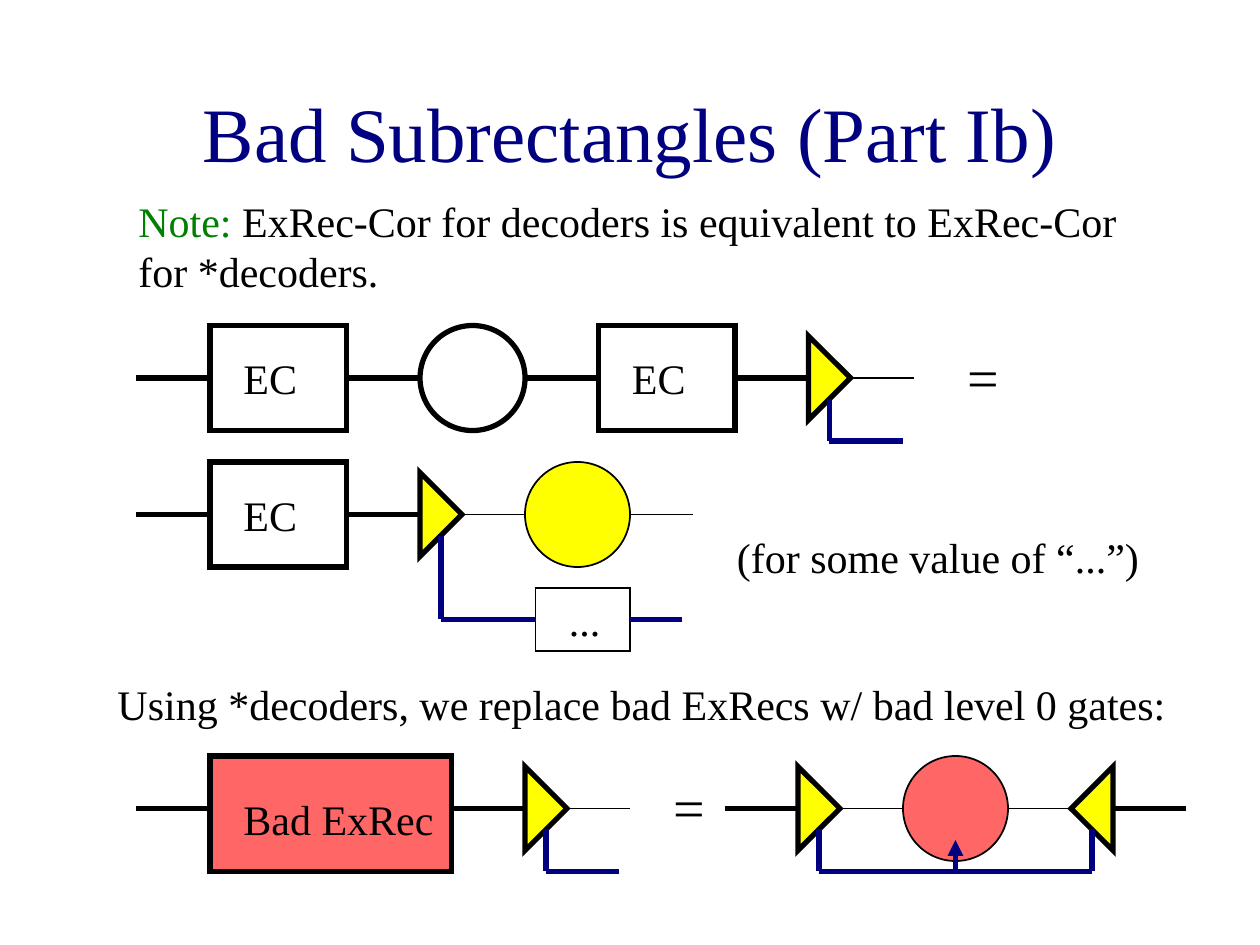
from dataclasses import dataclass
from typing import Optional

from lxml.etree import SubElement
from pptx import Presentation
from pptx.dml.color import RGBColor
from pptx.enum.shapes import MSO_CONNECTOR as Connector, MSO_SHAPE as Preset
from pptx.enum.text import MSO_ANCHOR as Anchor, PP_ALIGN as Align
from pptx.oxml.ns import qn
from pptx.util import Pt

EMU_PER_PX = 7620  # 120 px to the inch
BLACK = RGBColor(0x00, 0x00, 0x00)
NAVY = RGBColor(0x00, 0x00, 0x80)
GREEN = RGBColor(0x00, 0x80, 0x00)
YELLOW = RGBColor(0xFF, 0xFF, 0x00)
RED = RGBColor(0xFF, 0x66, 0x66)

# Centre lines of the three circuits, and levels of the syndrome wires
ROW_1, ROW_2, ROW_3 = 360, 490, 770
SYNDROME_1, SYNDROME_2, SYNDROME_3 = 420, 590, 830


@dataclass(frozen=True)
class Node:
    preset: Preset
    left: int
    top: int
    width: int
    height: int
    fill: Optional[RGBColor] = None
    weight: float = 3
    rotation: int = 0


@dataclass(frozen=True)
class Wire:
    start: tuple[int, int]
    end: tuple[int, int]
    color: RGBColor = BLACK
    weight: float = 3
    arrow: bool = False


@dataclass(frozen=True)
class Label:
    left: int
    top: int
    width: int
    height: int
    runs: tuple[tuple[str, RGBColor], ...]
    size: int = 24
    align: Align = Align.LEFT
    anchor: Anchor = Anchor.TOP


def emu(*lengths: int) -> list[int]:
    return [length * EMU_PER_PX for length in lengths]


def apply(target, values: dict) -> None:
    for name, value in values.items():
        setattr(target, name, value)


def circle(center_x: int, center_y: int, fill=None, weight: float = 1) -> Node:
    return Node(Preset.OVAL, center_x - 50, center_y - 50, 100, 100, fill, weight)


def decoder(center_x: int, center_y: int, rotation: int = 90) -> Node:
    return Node(Preset.ISOSCELES_TRIANGLE, center_x - 40, center_y - 20, 80, 40,
                YELLOW, 3, rotation)


def correction(left: int, center_y: int) -> Node:
    return Node(Preset.RECTANGLE, left, center_y - 50, 130, 100)


def level(y: int, *spans: tuple[int, int], color=BLACK, weight: float = 3) -> list[Wire]:
    return [Wire((start, y), (end, y), color, weight) for start, end in spans]


def syndrome(x: int, row: int, bottom: int) -> Wire:
    return Wire((x, row + 20), (x, bottom), NAVY)


def plain(left: int, top: int, width: int, height: int, text: str, size: int = 24) -> Label:
    return Label(left, top, width, height, ((text, BLACK),), size)


def draw_node(slide, node: Node, joints: dict) -> None:
    shape = slide.shapes.add_shape(
        node.preset, *emu(node.left, node.top, node.width, node.height))
    shape.shadow.inherit = False
    shape.rotation = node.rotation
    if node.fill is None:
        shape.fill.background()
    else:
        shape.fill.solid()
        shape.fill.fore_color.rgb = node.fill
    shape.line.color.rgb = BLACK
    shape.line.width = Pt(node.weight)
    outline = shape.element.spPr.find(qn("a:ln"))
    SubElement(outline, qn("a:miter"), lim="800000")
    if node.preset == Preset.RECTANGLE:
        middle_x, middle_y = node.left + node.width // 2, node.top + node.height // 2
        sides = ((middle_x, node.top), (node.left, middle_y),
                 (middle_x, node.top + node.height), (node.left + node.width, middle_y))
        for site, point in enumerate(sides):
            joints[point] = (shape, site)


def draw_wire(slide, wire: Wire, joints: dict) -> None:
    line = slide.shapes.add_connector(Connector.STRAIGHT, *emu(*wire.start, *wire.end))
    if wire.start in joints:
        line.begin_connect(*joints[wire.start])
    if wire.end in joints:
        line.end_connect(*joints[wire.end])
    line.line.color.rgb = wire.color
    line.line.width = Pt(wire.weight)
    properties = line._element.spPr
    if wire.arrow:
        SubElement(properties.find(qn("a:ln")), qn("a:tailEnd"), type="triangle")
    SubElement(properties, qn("a:effectLst"))


def draw_label(slide, label: Label) -> None:
    box = slide.shapes.add_textbox(*emu(label.left, label.top, label.width, label.height))
    apply(box.text_frame, {"word_wrap": True, "vertical_anchor": label.anchor})
    paragraph = box.text_frame.paragraphs[0]
    paragraph.alignment = label.align
    for text, color in label.runs:
        run = paragraph.add_run()
        run.text = text
        apply(run.font, {"name": "Times New Roman", "size": Pt(label.size)})
        run.font.color.rgb = color


NODES = [
    # Extended rectangle followed by a decoder
    correction(200, ROW_1), circle(450, ROW_1, weight=3), correction(570, ROW_1),
    decoder(790, ROW_1),
    # Decoder followed by an ideal gate
    correction(200, ROW_2), decoder(420, ROW_2), circle(550, ROW_2, YELLOW),
    Node(Preset.RECTANGLE, 510, 560, 90, 60, weight=0.75),
    # Bad extended rectangle and its bad level 0 gate
    Node(Preset.RECTANGLE, 200, 720, 230, 110, RED), decoder(520, ROW_3),
    decoder(780, ROW_3), circle(910, ROW_3, RED), decoder(1040, ROW_3, 270),
]

WIRES = [
    # Encoded data
    *level(ROW_1, (200, 130), (400, 330), (570, 500), (770, 700)),
    *level(ROW_2, (200, 130), (400, 330)),
    *level(ROW_3, (200, 130), (500, 430), (760, 690), (1130, 1060)),
    # Decoded data
    *level(ROW_1, (810, 870), weight=1),
    *level(ROW_2, (440, 500), (600, 660), weight=1),
    *level(ROW_3, (540, 600), (800, 860), (960, 1020), weight=1),
    # Syndromes
    syndrome(790, ROW_1, SYNDROME_1), syndrome(420, ROW_2, SYNDROME_2),
    *[syndrome(x, ROW_3, SYNDROME_3) for x in (520, 780, 1040)],
    *level(SYNDROME_1, (860, 790), color=NAVY),
    *level(SYNDROME_2, (510, 420), (650, 600), color=NAVY),
    *level(SYNDROME_3, (590, 520), (1040, 780), color=NAVY),
    Wire((910, SYNDROME_3), (910, 800), NAVY, arrow=True),
]

LABELS = [
    Label(90, 50, 1020, 150, (("Bad Subrectangles (Part Ib)", NAVY),), 44,
          Align.CENTER, Anchor.MIDDLE),
    Label(120, 180, 970, 108, (
        ("Note:", GREEN),
        (" ExRec-Cor for decoders is equivalent to ExRec-Cor for *decoders.", BLACK))),
    *[plain(left, row - 30, 80, 60, "EC")
      for left, row in ((220, ROW_1), (590, ROW_1), (220, ROW_2))],
    *[plain(left, row - 40, 90, 77, "=", 32) for left, row in ((910, ROW_1), (630, ROW_3))],
    plain(530, 560, 70, 60, "..."),
    plain(690, 500, 430, 60, "(for some value of “...”)"),
    plain(100, 640, 1050, 60, "Using *decoders, we replace bad ExRecs w/ bad level 0 gates:"),
    plain(220, 750, 270, 60, "Bad ExRec"),
]


def main() -> None:
    presentation = Presentation()
    presentation.slide_width, presentation.slide_height = emu(1200, 900)
    slide = presentation.slides.add_slide(presentation.slide_layouts[6])
    joints: dict = {}
    for node in NODES:
        draw_node(slide, node, joints)
    for wire in WIRES:
        draw_wire(slide, wire, joints)
    for label in LABELS:
        draw_label(slide, label)
    presentation.save("out.pptx")


if __name__ == "__main__":
    main()
